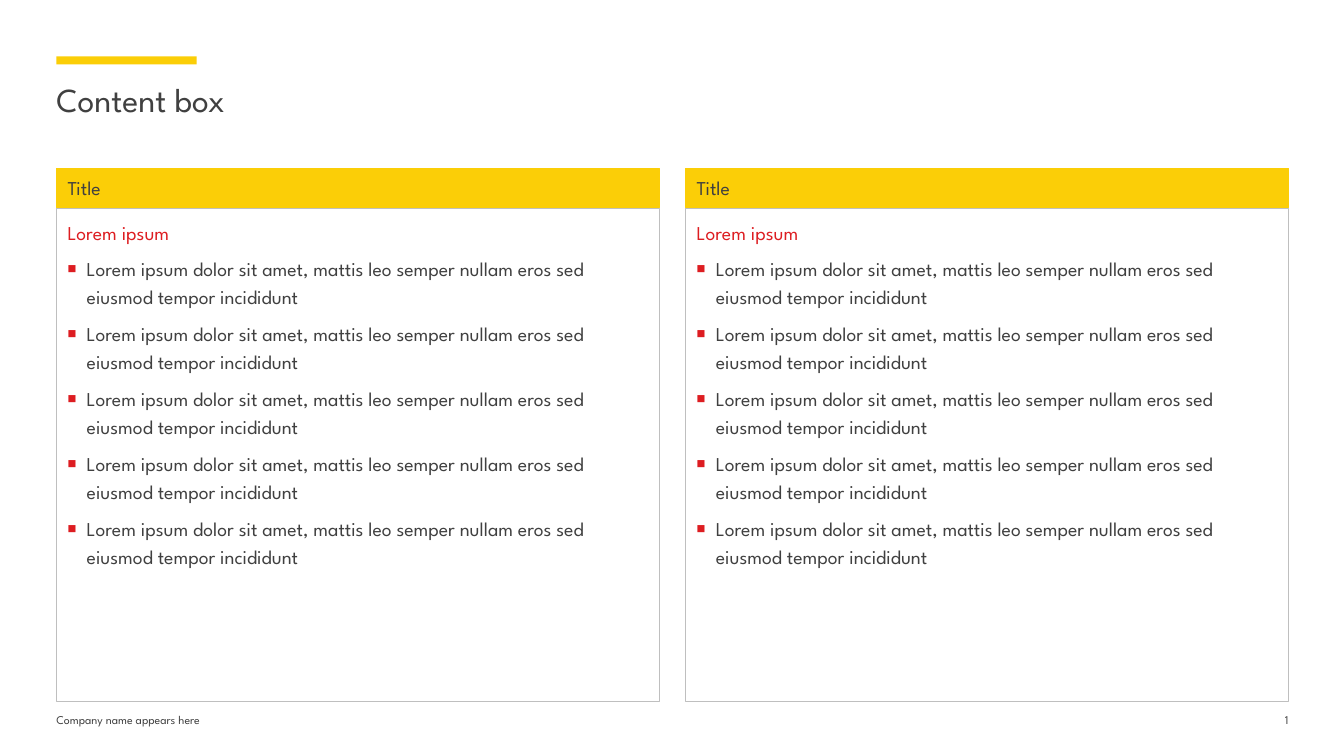
from lxml import etree
from pptx import Presentation
from pptx.dml.color import RGBColor
from pptx.enum.shapes import MSO_SHAPE
from pptx.enum.text import MSO_ANCHOR, PP_ALIGN
from pptx.oxml.ns import qn
from pptx.util import Inches, Pt

RECTANGLE = MSO_SHAPE.RECTANGLE
TOP, MIDDLE = MSO_ANCHOR.TOP, MSO_ANCHOR.MIDDLE
LEFT, RIGHT = PP_ALIGN.LEFT, PP_ALIGN.RIGHT

FONT = "League Spartan"
COLORS = {"yellow": "FBCE07", "red": "DD1D21", "text": "404040", "border": "BFBFBF"}

HEADLINE = "Content box"
FOOTER = "Company name appears here"
PAGE_NUMBER = "1"
BULLET = "Lorem ipsum dolor sit amet, mattis leo semper nullam eros sed eiusmod tempor incididunt"
PANELS = [
    {"title": "Title", "lead": "Lorem ipsum", "bullets": [BULLET] * 5},
    {"title": "Title", "lead": "Lorem ipsum", "bullets": [BULLET] * 5},
]

MARGIN, CONTENT_WIDTH, GAP = 0.56, 12.22, 0.26
PANEL_TOP, HEADER_HEIGHT, BODY_TOP, BODY_HEIGHT = 1.67, 0.39, 2.07, 4.89
FOOTER_TOP, FOOTER_HEIGHT, NUMBER_WIDTH = 7.07, 0.26, 0.39
BULLET_INDENT = 0.19
BODY_SPACING = {"line_spacing": 1.2, "space_after": Pt(6)}


def color(name):
    return RGBColor.from_string(COLORS[name])


def set_frame(frame, insets, wrap=True, anchor=TOP):
    """Set the insets (left, top, right, bottom, in inches), wrapping and anchor."""
    sides = ("margin_left", "margin_top", "margin_right", "margin_bottom")
    for side, inset in zip(sides, insets):
        setattr(frame, side, Inches(inset))
    frame.word_wrap = wrap
    frame.vertical_anchor = anchor


def write(para, text, size, color_name="text", align=LEFT, spacing=None):
    for name, value in {"alignment": align, **(spacing or {})}.items():
        setattr(para, name, value)
    span = para.add_run()
    span.text = text
    for name, value in {"name": FONT, "size": Pt(size)}.items():
        setattr(span.font, name, value)
    span.font.color.rgb = color(color_name)


def add_bullet(para):
    properties = para._p.get_or_add_pPr()
    properties.set("marL", str(Inches(BULLET_INDENT)))
    properties.set("indent", str(-Inches(BULLET_INDENT)))
    bullet_color = etree.SubElement(properties, qn("a:buClr"))
    etree.SubElement(bullet_color, qn("a:srgbClr"), val=COLORS["red"])
    etree.SubElement(properties, qn("a:buSzPct"), val="75000")
    etree.SubElement(properties, qn("a:buFont"), typeface="Arial")
    etree.SubElement(properties, qn("a:buChar"), char="■")


def add_label(page, area, text, size, bottom=0, wrap=True, align=LEFT):
    box = page.shapes.add_textbox(*map(Inches, area))
    set_frame(box.text_frame, (0, 0, 0, bottom), wrap)
    write(box.text_frame.paragraphs[0], text, size, align=align)


def add_rectangle(page, area, fill=None, line=None, line_width=0.75):
    box = page.shapes.add_shape(RECTANGLE, *map(Inches, area))
    box.shadow.inherit = False
    if fill:
        box.fill.solid()
        box.fill.fore_color.rgb = color(fill)
    else:
        box.fill.background()
    if line:
        box.line.color.rgb = color(line)
        box.line.width = Pt(line_width)
    else:
        box.line.fill.background()
    return box


def add_panel(page, left, width, panel):
    body = add_rectangle(page, (left, BODY_TOP, width, BODY_HEIGHT), line="border")
    frame = body.text_frame
    set_frame(frame, (0.11, 0.07, 0.11, 0.01))
    write(frame.paragraphs[0], panel["lead"], 14, "red", spacing=BODY_SPACING)
    for text in panel["bullets"]:
        para = frame.add_paragraph()
        add_bullet(para)
        write(para, text, 14, spacing=BODY_SPACING)

    header = add_rectangle(
        page, (left, PANEL_TOP, width, HEADER_HEIGHT), "yellow", "yellow", 1)
    set_frame(header.text_frame, (0.11, 0, 0, 0.01), wrap=False, anchor=MIDDLE)
    write(header.text_frame.paragraphs[0], panel["title"], 14)


def main():
    deck = Presentation()
    deck.slide_width, deck.slide_height = Inches(13.33), Inches(7.5)
    page = deck.slides.add_slide(deck.slide_layouts[6])

    add_rectangle(page, (MARGIN, 0.56, 1.39, 0.08), "yellow")
    add_label(page, (MARGIN, 0.78, CONTENT_WIDTH, 0.82), HEADLINE, 24)

    panel_width = (CONTENT_WIDTH - GAP * (len(PANELS) - 1)) / len(PANELS)
    for index, panel in enumerate(PANELS):
        add_panel(page, MARGIN + index * (panel_width + GAP), panel_width, panel)

    add_label(page, (MARGIN, FOOTER_TOP, 3.67, FOOTER_HEIGHT), FOOTER, 8.5, 0.05, False)
    number_left = MARGIN + CONTENT_WIDTH - NUMBER_WIDTH
    add_label(page, (number_left, FOOTER_TOP, NUMBER_WIDTH, FOOTER_HEIGHT),
              PAGE_NUMBER, 8.5, 0.05, False, RIGHT)

    deck.save("out.pptx")


if __name__ == "__main__":
    main()
